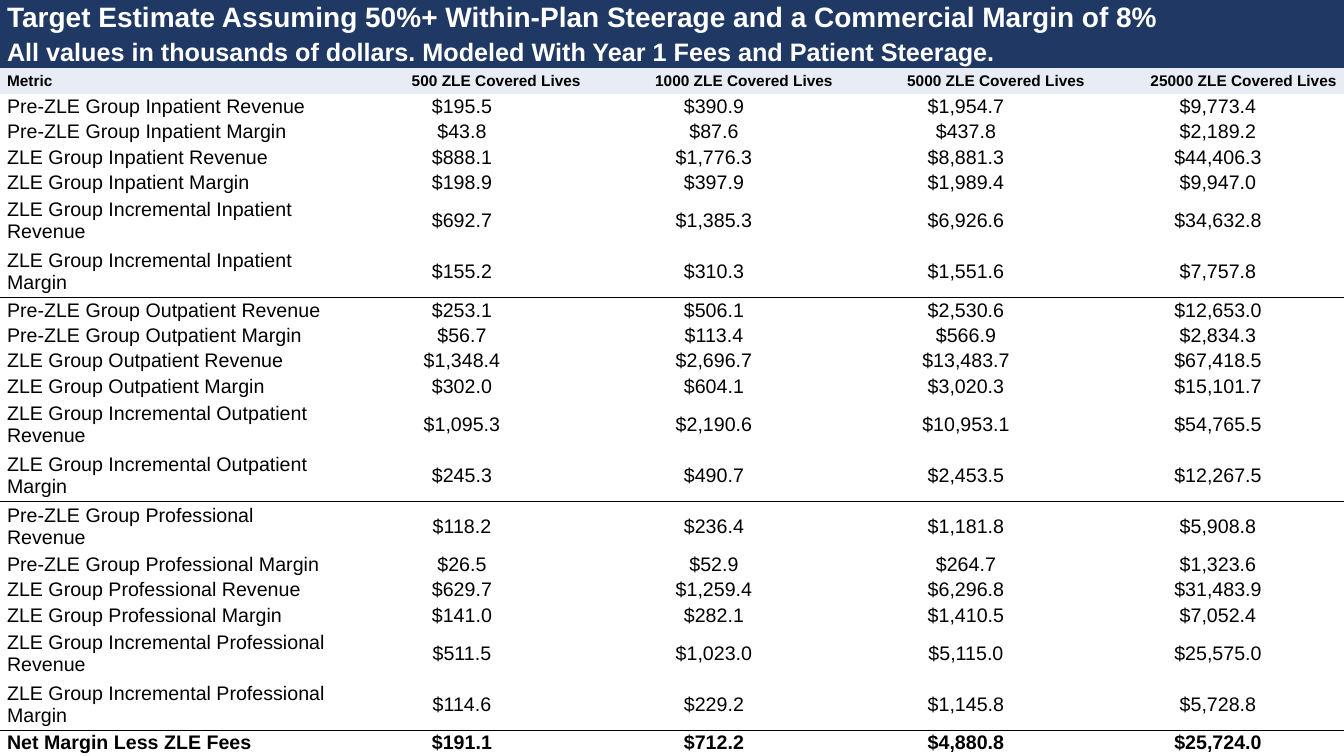
from dataclasses import dataclass
from pptx import Presentation
from pptx.dml.color import RGBColor as Rgb
from pptx.enum.text import MSO_ANCHOR as Anchor, PP_ALIGN as Align
from pptx.oxml import parse_xml
from pptx.oxml.ns import nsdecls
from pptx.util import Inches, Pt

TITLES = (
    "Target Estimate Assuming 50%+ Within-Plan Steerage and a Commercial Margin of 8%",
    "All values in thousands of dollars. Modeled With Year 1 Fees and Patient Steerage.",
)
HEADERS = ("Metric", "500 ZLE Covered Lives", "1000 ZLE Covered Lives",
           "5000 ZLE Covered Lives", "25000 ZLE Covered Lives")
METRICS = (
    "Pre-ZLE Group {} Revenue",
    "Pre-ZLE Group {} Margin",
    "ZLE Group {} Revenue",
    "ZLE Group {} Margin",
    "ZLE Group Incremental {} Revenue",
    "ZLE Group Incremental {} Margin",
)
ESTIMATES = {
    "Inpatient": (
        (195.5, 390.9, 1954.7, 9773.4),
        (43.8, 87.6, 437.8, 2189.2),
        (888.1, 1776.3, 8881.3, 44406.3),
        (198.9, 397.9, 1989.4, 9947.0),
        (692.7, 1385.3, 6926.6, 34632.8),
        (155.2, 310.3, 1551.6, 7757.8),
    ),
    "Outpatient": (
        (253.1, 506.1, 2530.6, 12653.0),
        (56.7, 113.4, 566.9, 2834.3),
        (1348.4, 2696.7, 13483.7, 67418.5),
        (302.0, 604.1, 3020.3, 15101.7),
        (1095.3, 2190.6, 10953.1, 54765.5),
        (245.3, 490.7, 2453.5, 12267.5),
    ),
    "Professional": (
        (118.2, 236.4, 1181.8, 5908.8),
        (26.5, 52.9, 264.7, 1323.6),
        (629.7, 1259.4, 6296.8, 31483.9),
        (141.0, 282.1, 1410.5, 7052.4),
        (511.5, 1023.0, 5115.0, 25575.0),
        (114.6, 229.2, 1145.8, 5728.8),
    ),
}
NET_LABEL = "Net Margin Less ZLE Fees"
NET_MARGIN = (191.1, 712.2, 4880.8, 25724.0)


@dataclass(frozen=True)
class Theme:
    font: str = "Arial"
    navy: str = "203864"
    pale: str = "E7ECF5"
    white: str = "FFFFFF"
    black: str = "000000"
    title_sizes: tuple = (20, 18)
    header_size: int = 11
    body_size: int = 14
    rule_width: int = 1


THEME = Theme()
WIDTH, HEIGHT = Inches(40) // 3, Inches(7.5)
TITLE_HEIGHTS = (Inches(0.36), Inches(0.32))
COLUMN_SHARES = (4, 3, 3, 3, 3)
INDENT = Inches(0.07)
LINE_CAPACITY = 33
NO_GRID_STYLE = "{2D5ABB26-0587-4C30-8999-92F81FD0307C}"


def write(cell, text, size=THEME.body_size, color=THEME.black, bold=False,
          align=Align.LEFT, fill=None):
    cell.margin_left = cell.margin_right = cell.margin_top = cell.margin_bottom = 0
    cell.vertical_anchor = Anchor.MIDDLE
    if fill:
        cell.fill.solid()
        cell.fill.fore_color.rgb = Rgb.from_string(fill)
    else:
        cell.fill.background()
    para = cell.text_frame.paragraphs[0]
    para.alignment = align
    properties = para._p.get_or_add_pPr()
    for side in ("marL", "marR"):
        properties.set(side, str(INDENT))
    properties.set("indent", "0")
    span = para.add_run()
    span.text = text
    span.font.name = THEME.font
    span.font.size = Pt(size)
    span.font.bold = bold
    span.font.color.rgb = Rgb.from_string(color)


def set_rules(cell, above, below):
    solid = f'<a:solidFill><a:srgbClr val="{THEME.black}"/></a:solidFill>'
    for position, (edge, shown) in enumerate((("lnT", above), ("lnB", below))):
        line = parse_xml(
            f'<a:{edge} {nsdecls("a")} w="{Pt(THEME.rule_width)}">'
            f'{solid if shown else "<a:noFill/>"}</a:{edge}>')
        cell._tc.get_or_add_tcPr().insert(position, line)


def body_rows():
    rows = [(metric.format(care), values)
            for care, group in ESTIMATES.items()
            for metric, values in zip(METRICS, group)]
    return rows + [(NET_LABEL, NET_MARGIN)]


def add_estimate_table(page):
    rows = body_rows()
    first_body = len(TITLES) + 1
    table = page.shapes.add_table(first_body + len(rows), len(HEADERS),
                                  0, 0, WIDTH, HEIGHT).table
    table.first_row = table.horz_banding = False
    table._tbl.tblPr.find("{*}tableStyleId").text = NO_GRID_STYLE

    for column, share in zip(table.columns, COLUMN_SHARES):
        column.width = WIDTH * share // sum(COLUMN_SHARES)
    line_counts = [1] + [2 if len(label) > LINE_CAPACITY else 1 for label, _ in rows]
    unit = (HEIGHT - sum(TITLE_HEIGHTS)) // sum(line_counts)
    heights = list(TITLE_HEIGHTS) + [unit * count for count in line_counts]
    for row, height in zip(table.rows, heights):
        row.height = height

    for index, (title, size) in enumerate(zip(TITLES, THEME.title_sizes)):
        table.cell(index, 0).merge(table.cell(index, len(HEADERS) - 1))
        write(table.cell(index, 0), title, size=size, color=THEME.white,
              bold=True, fill=THEME.navy)
    for column, header in enumerate(HEADERS):
        write(table.cell(len(TITLES), column), header, size=THEME.header_size,
              bold=True, align=Align.RIGHT if column else Align.LEFT, fill=THEME.pale)

    for index, (label, values) in enumerate(rows):
        texts = [label] + [f"${value:,.1f}" for value in values]
        starts_group = index > 0 and index % len(METRICS) == 0
        ends_group = (index + 1) % len(METRICS) == 0
        for column, text in enumerate(texts):
            cell = table.cell(first_body + index, column)
            write(cell, text, bold=label == NET_LABEL,
                  align=Align.CENTER if column else Align.LEFT)
            set_rules(cell, above=starts_group, below=ends_group)


def main():
    deck = Presentation()
    deck.slide_width, deck.slide_height = WIDTH, HEIGHT
    page = deck.slides.add_slide(deck.slide_layouts[6])
    add_estimate_table(page)
    deck.save("out.pptx")


if __name__ == "__main__":
    main()
